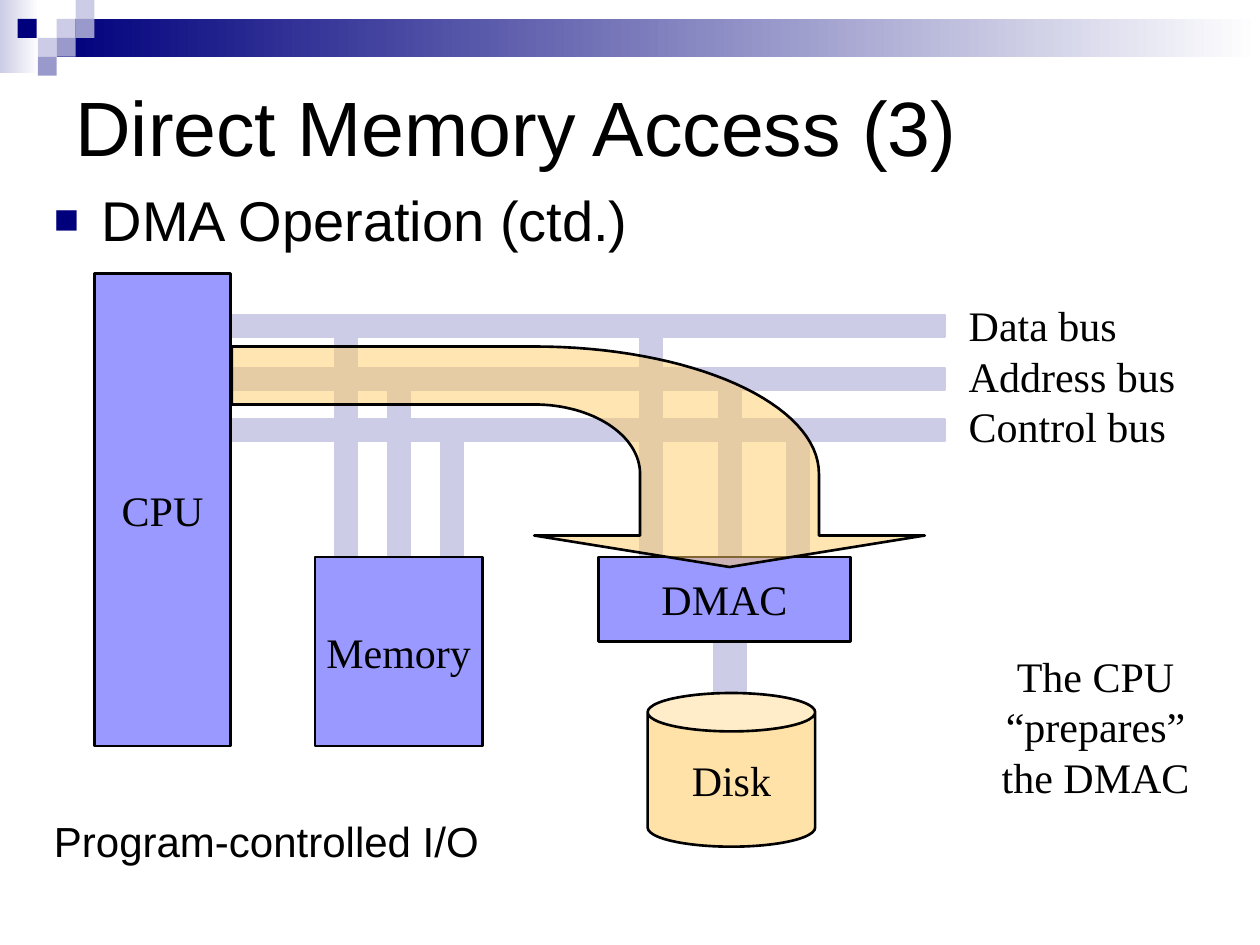
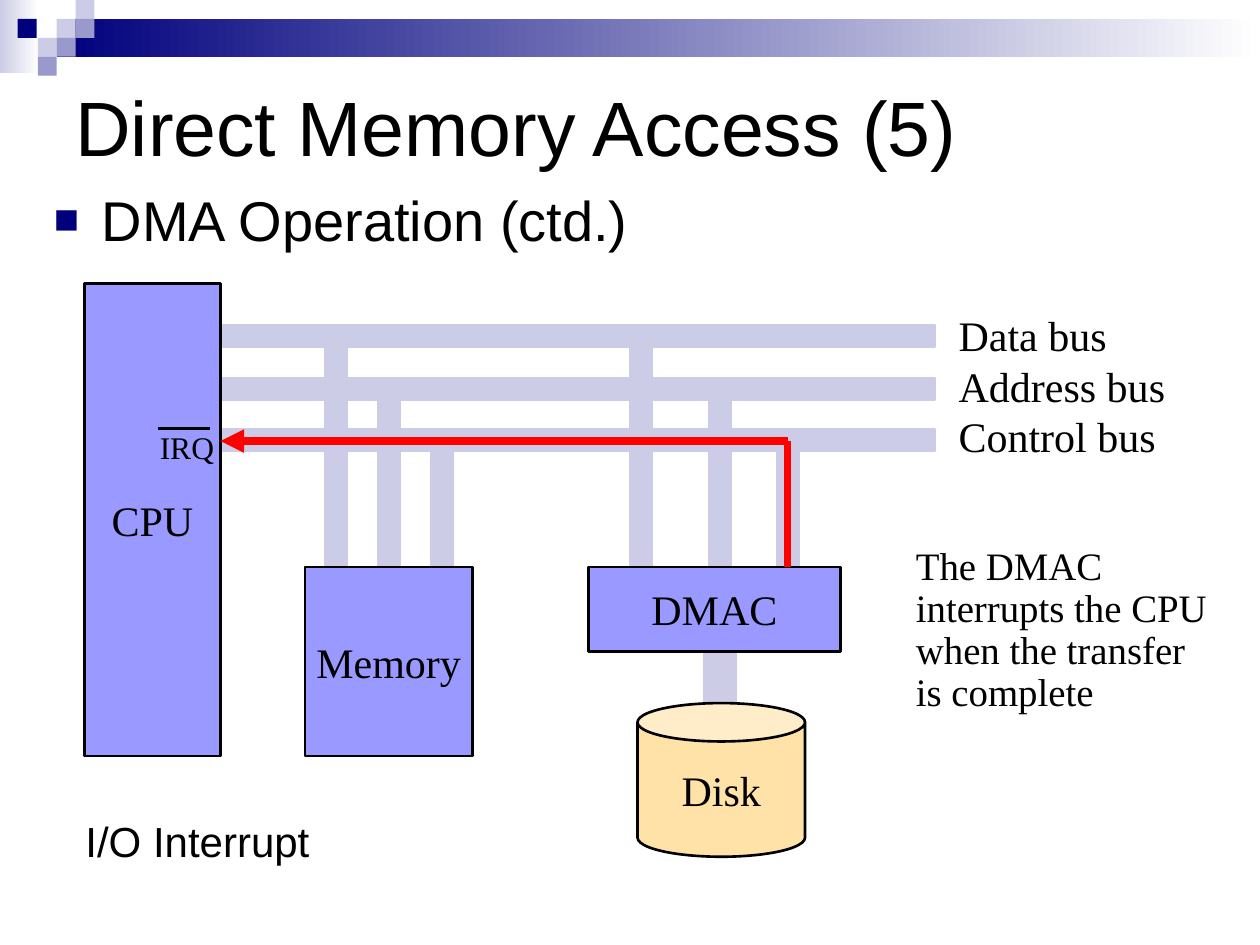
import math

from lxml import etree
from pptx import Presentation
from pptx.dml.color import RGBColor
from pptx.enum.shapes import MSO_CONNECTOR, MSO_SHAPE
from pptx.enum.text import MSO_ANCHOR, PP_ALIGN
from pptx.oxml.ns import qn
from pptx.util import Inches, Pt

RECTANGLE, CAN = MSO_SHAPE.RECTANGLE, MSO_SHAPE.CAN
STRAIGHT = MSO_CONNECTOR.STRAIGHT
LEFT, CENTER = PP_ALIGN.LEFT, PP_ALIGN.CENTER
TOP, MIDDLE = MSO_ANCHOR.TOP, MSO_ANCHOR.MIDDLE

COLORS = {
    "navy": "00007D",
    "violet": "9999CC",
    "bus": "CCCCE6",
    "unit": "9999FF",
    "disk": "FFE2A7",
    "flow": "FFCC66",
    "signal": "FF0000",
    "black": "000000",
    "white": "FFFFFF",
}
RGB = {name: RGBColor.from_string(value) for name, value in COLORS.items()}
SANS, SERIF = "Arial", "Times New Roman"


def add_box(slide, kind, left, top, width, height, fill, line=None):
    """Add a preset shape; a pair of colours as fill gives a gradient."""
    shape = slide.shapes.add_shape(
        kind, Inches(left), Inches(top), Inches(width), Inches(height))
    shape.shadow.inherit = False
    if isinstance(fill, tuple):
        shape.fill.gradient()
        shape.fill.gradient_angle = 0
        for stop, color in zip(shape.fill.gradient_stops, fill):
            stop.color.rgb = RGB[color]
    else:
        shape.fill.solid()
        shape.fill.fore_color.rgb = RGB[fill]
    if line:
        shape.line.color.rgb = RGB[line]
        shape.line.width = Pt(1.5)
    else:
        shape.line.fill.background()
    return shape


def write(shape, lines, size, font=SERIF, align=LEFT, anchor=TOP, wrap=True):
    """Write one paragraph per line into a shape and return the last one."""
    frame = shape.text_frame
    frame.word_wrap = wrap
    frame.vertical_anchor = anchor
    for index, line in enumerate(lines):
        paragraph = frame.add_paragraph() if index else frame.paragraphs[0]
        paragraph.alignment = align
        run = paragraph.add_run()
        run.text = line
        run.font.size = Pt(size)
        run.font.name = font
        run.font.color.rgb = RGB["black"]
    return paragraph


# Corner mosaic: left, top, colour of each square
SQUARE = 0.15
MOSAIC = [
    (0.45, 0.15, "bus"), (0.6, 0, "bus"), (0.6, 0.15, "violet"),
    (0.3, 0.3, "bus"), (0.14, 0.15, "navy"), (0.45, 0.3, "violet"),
    (0.3, 0.45, "violet"),
]

# Bus diagram
BUS_LEFT, BUS_LENGTH, BUS_WIDTH = 1.83, 5.67, 0.17
BUS_TOPS = [2.5, 2.92, 3.33]
TAP_COLUMNS = [[2.66, 3.08, 3.5], [5.08, 5.71, 6.25]]
UNITS_TOP = 4.42
UNITS = [
    ("Memory", 2.5, UNITS_TOP, 1.33, 1.5),
    ("DMAC", 4.75, UNITS_TOP, 2, 0.67),
    ("CPU", 0.75, 2.17, 1.08, 3.75),
]

# Per slide: title, diagram shift (right, down), footing, remark
SLIDES = [
    {
        "title": "Direct Memory Access (3)",
        "shift": (0, 0),
        "footing": ("Program-controlled I/O", 0.33, 4.17),
        "remark": ("The CPU “prepares” the DMAC", (7.8, 5.1, 1.79, 1.32), 24, CENTER, 1),
    },
    {
        "title": "Direct Memory Access (5)",
        "shift": (-0.08, 0.08),
        "footing": ("I/O Interrupt", 0.58, 2.75),
        "remark": ("The DMAC interrupts the CPU when the transfer is complete",
                   (7.17, 4.01, 2.58, 1.99), 22.2, LEFT, 0.9),
    },
]

presentation = Presentation()
presentation.slide_width = Inches(10)
presentation.slide_height = Inches(7.5)

for content in SLIDES:
    slide = presentation.slides.add_slide(presentation.slide_layouts[6])
    right, down = content["shift"]

    # Header band and mosaic
    add_box(slide, RECTANGLE, 0, 0, 0.31, 0.58, ("bus", "white"))
    add_box(slide, RECTANGLE, 0.45, 0.15, 9.55, 0.3, ("navy", "white"))
    for left, top, color in MOSAIC:
        add_box(slide, RECTANGLE, left, top, SQUARE, SQUARE, color)

    # Title
    title = slide.shapes.add_textbox(Inches(0.5), Inches(0.5), Inches(9), Inches(1))
    write(title, [content["title"]], 44, SANS, anchor=MIDDLE)

    # Bulleted topic
    topic = slide.shapes.add_textbox(Inches(0.33), Inches(1.42), Inches(9.17), Inches(0.7))
    paragraph = write(topic, ["DMA Operation (ctd.)"], 32, SANS)
    properties = paragraph._p.get_or_add_pPr()
    properties.set("marL", str(Inches(0.38)))
    properties.set("indent", str(-Inches(0.38)))
    bullet_color = etree.SubElement(properties, qn("a:buClr"))
    etree.SubElement(bullet_color, qn("a:srgbClr"), val=COLORS["navy"])
    etree.SubElement(properties, qn("a:buSzPct"), val="75000")
    etree.SubElement(properties, qn("a:buFont"), typeface=SANS)
    etree.SubElement(properties, qn("a:buChar"), char="■")

    # Disk link, buses and their taps
    add_box(slide, RECTANGLE, 5.67 + right, 5.09 + down, 0.25, 1.41, "bus", "bus")
    for top in BUS_TOPS:
        add_box(slide, RECTANGLE, BUS_LEFT + right, top + down,
                BUS_LENGTH, BUS_WIDTH, "bus", "bus")
    for columns in TAP_COLUMNS:
        for left, top in zip(columns, BUS_TOPS):
            add_box(slide, RECTANGLE, left + right, top + down,
                    BUS_WIDTH, UNITS_TOP - top, "bus", "bus")
    bus_names = slide.shapes.add_textbox(
        Inches(7.59 + right), Inches(2.33 + down), Inches(1.84), Inches(1.3))
    write(bus_names, ["Data bus", "Address bus", "Control bus"], 24, wrap=False)

    # Memory, DMAC, CPU and disk
    for name, left, top, width, height in UNITS:
        unit = add_box(slide, RECTANGLE, left + right, top + down,
                       width, height, "unit", "black")
        write(unit, [name], 24, align=CENTER, anchor=MIDDLE, wrap=False)
    disk = add_box(slide, CAN, 5.14 + right, 5.5 + down, 1.33, 1.22, "disk", "black")
    disk.adjustments[0] = 0.25
    write(disk, ["Disk"], 24, align=CENTER, anchor=MIDDLE)

    # Remark
    text, box, size, align, spacing = content["remark"]
    remark = slide.shapes.add_textbox(*[Inches(length) for length in box])
    write(remark, [text], size, align=align, anchor=MIDDLE).line_spacing = spacing

    # Footing
    text, left, width = content["footing"]
    footing = slide.shapes.add_textbox(
        Inches(left), Inches(6.42), Inches(width), Inches(0.5))
    write(footing, [text], 24, SANS)

# Slide 1: bent arrow from CPU to DMAC, two quarter ellipses round one centre
slide = presentation.slides[0]
center_x, center_y, steps = 4.24, 3.76, 32
angles = [math.pi / 2 * step / steps for step in range(steps + 1)]
outer, inner = [
    [(center_x + radius_x * math.cos(angle), center_y - radius_y * math.sin(angle))
     for angle in angles]
    for radius_x, radius_y in [(2.26, 1.01), (0.84, 0.55)]
]
outline = [(5.79, 4.5), (7.34, 4.25), (6.5, 4.25), *outer, (1.84, 2.75),
           (1.84, 3.21), *reversed(inner), (5.08, 4.25), (4.24, 4.25)]
builder = slide.shapes.build_freeform(
    Inches(outline[0][0]), Inches(outline[0][1]), scale=1.0)
builder.add_line_segments([(Inches(x), Inches(y)) for x, y in outline[1:]], close=True)
flow = builder.convert_to_shape()
flow.shadow.inherit = False
flow.fill.solid()
flow.fill.fore_color.rgb = RGB["flow"]
flow_color = flow._element.spPr.find(qn("a:solidFill")).find(qn("a:srgbClr"))
etree.SubElement(flow_color, qn("a:alpha"), val="50000")
flow.line.color.rgb = RGB["black"]
flow.line.width = Pt(1.5)

# Slide 2: interrupt request with overlined IRQ label
slide = presentation.slides[1]
request = slide.shapes.add_textbox(Inches(1.17), Inches(3.35), Inches(0.63), Inches(0.4))
write(request, ["IRQ"], 18, wrap=False)
LINES = [
    ((6.25, 4.5), (6.25, 3.5), "signal", 4.5, False),
    ((6.25, 3.5), (1.75, 3.5), "signal", 4.5, True),
    ((1.25, 3.4), (1.67, 3.4), "black", 1.5, False),
]
for start, end, color, weight, arrow in LINES:
    connector = slide.shapes.add_connector(
        STRAIGHT, *[Inches(length) for length in start + end])
    connector.line.color.rgb = RGB[color]
    connector.line.width = Pt(weight)
    if arrow:
        etree.SubElement(connector.line._get_or_add_ln(), qn("a:tailEnd"), type="triangle")
    etree.SubElement(connector._element.spPr, qn("a:effectLst"))

presentation.save("out.pptx")
